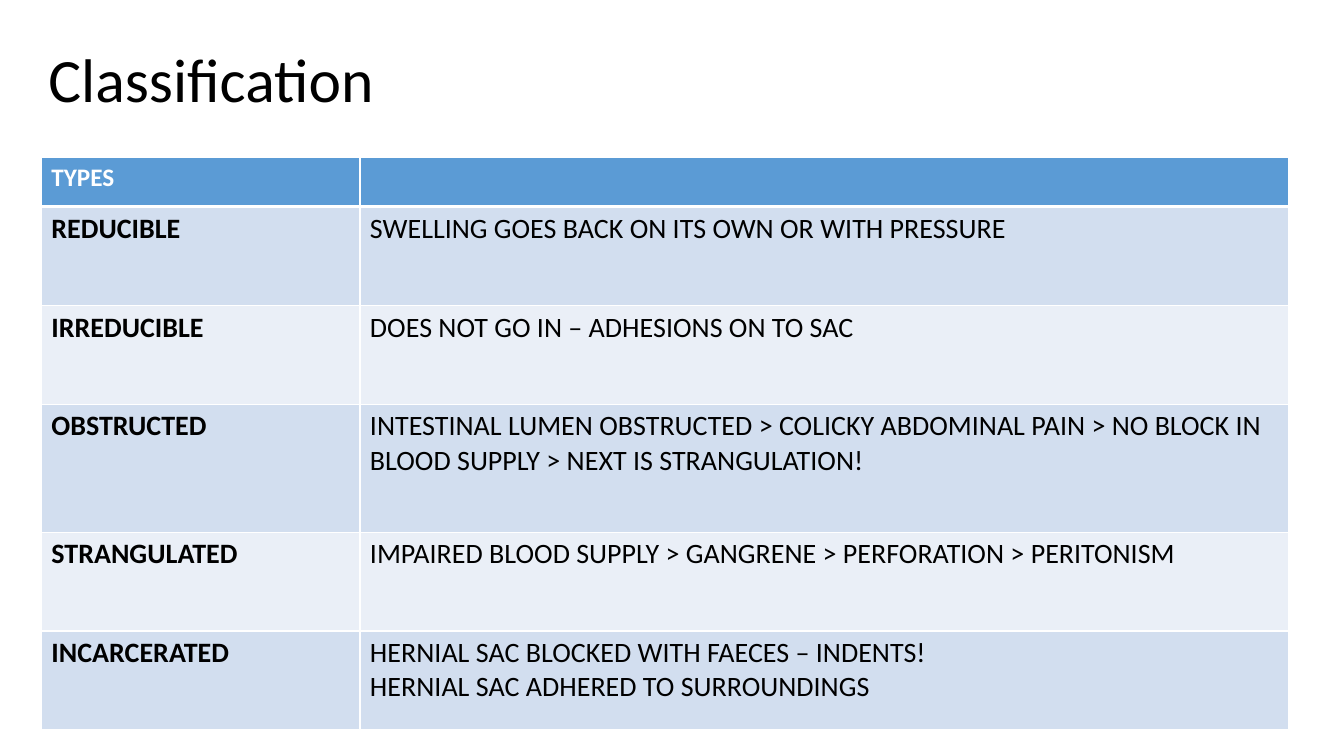
from pptx import Presentation
from pptx.dml.color import RGBColor as Rgb
from pptx.enum.text import MSO_ANCHOR as Anchor, PP_ALIGN as Align
from pptx.oxml import parse_xml
from pptx.oxml.ns import nsdecls
from pptx.util import Inches, Pt

HUES = {"ink": "000000", "paper": "FFFFFF", "head": "5B9BD5",
        "dark": "D2DEEF", "light": "EAEFF7"}
COLS = [3.16, 9.21]
ROWS = [
    (0.49, "TYPES", ""),
    (0.98, "REDUCIBLE", "SWELLING GOES BACK ON ITS OWN OR WITH PRESSURE"),
    (0.98, "IRREDUCIBLE", "DOES NOT GO IN – ADHESIONS ON TO SAC"),
    (1.27, "OBSTRUCTED", "INTESTINAL LUMEN OBSTRUCTED > COLICKY ABDOMINAL PAIN > "
     "NO BLOCK IN BLOOD SUPPLY > NEXT IS STRANGULATION!"),
    (0.98, "STRANGULATED", "IMPAIRED BLOOD SUPPLY > GANGRENE > PERFORATION > PERITONISM"),
    (0.98, "INCARCERATED", "HERNIAL SAC BLOCKED WITH FAECES – INDENTS!\n"
     "HERNIAL SAC ADHERED TO SURROUNDINGS"),
]


class Deck:
    face = "Calibri"

    def __init__(self):
        self.file = Presentation()
        self.file.slide_width = Inches(13.33)
        self.file.slide_height = Inches(7.5)
        self.slide = self.file.slides.add_slide(self.file.slide_layouts[5])

    def style(self, para, size, hue, bold=False):
        font = para.font
        font.name, font.size, font.bold = self.face, Pt(size), bold
        font.color.rgb = Rgb.from_string(HUES[hue])

    def title(self, text, left, top, width, height):
        box = self.slide.shapes.title
        box.left, box.top = Inches(left), Inches(top)
        box.width, box.height = Inches(width), Inches(height)
        frame = box.text_frame
        frame.text = text
        frame.word_wrap = True
        frame.vertical_anchor = Anchor.MIDDLE
        para = frame.paragraphs[0]
        para.alignment = Align.LEFT
        para.line_spacing = 0.9
        self.style(para, 44, "ink")

    def edge(self, cell, side, width):
        cell._tc.get_or_add_tcPr().append(parse_xml(
            f'<a:ln{side} {nsdecls("a")} w="{Pt(width)}"><a:solidFill>'
            f'<a:srgbClr val="{HUES["paper"]}"/></a:solidFill></a:ln{side}>'))

    def cell(self, cell, text, row, col):
        for side in "LRTB":
            thick = (row, side) in ((0, "B"), (1, "T"))
            self.edge(cell, side, 3 if thick else 1)
        hue = "head" if row == 0 else "dark" if row % 2 else "light"
        cell.fill.solid()
        cell.fill.fore_color.rgb = Rgb.from_string(HUES[hue])
        cell.text = text
        for para in cell.text_frame.paragraphs:
            if row:
                self.style(para, 20, "ink", col == 0)
            else:
                self.style(para, 18, "paper", True)

    def table(self, rows, cols, left, top):
        high = sum(row[0] for row in rows)
        grid = self.slide.shapes.add_table(
            len(rows), len(cols), Inches(left), Inches(top),
            Inches(sum(cols)), Inches(high)).table
        for col, width in zip(grid.columns, cols):
            col.width = Inches(width)
        for r, (height, *texts) in enumerate(rows):
            grid.rows[r].height = Inches(height)
            for c, text in enumerate(texts):
                self.cell(grid.cell(r, c), text, r, c)


def main():
    deck = Deck()
    deck.title("Classification", 0.38, 0.4, 12.04, 0.84)
    deck.table(ROWS, COLS, 0.41, 1.56)
    deck.file.save("out.pptx")


if __name__ == "__main__":
    main()
